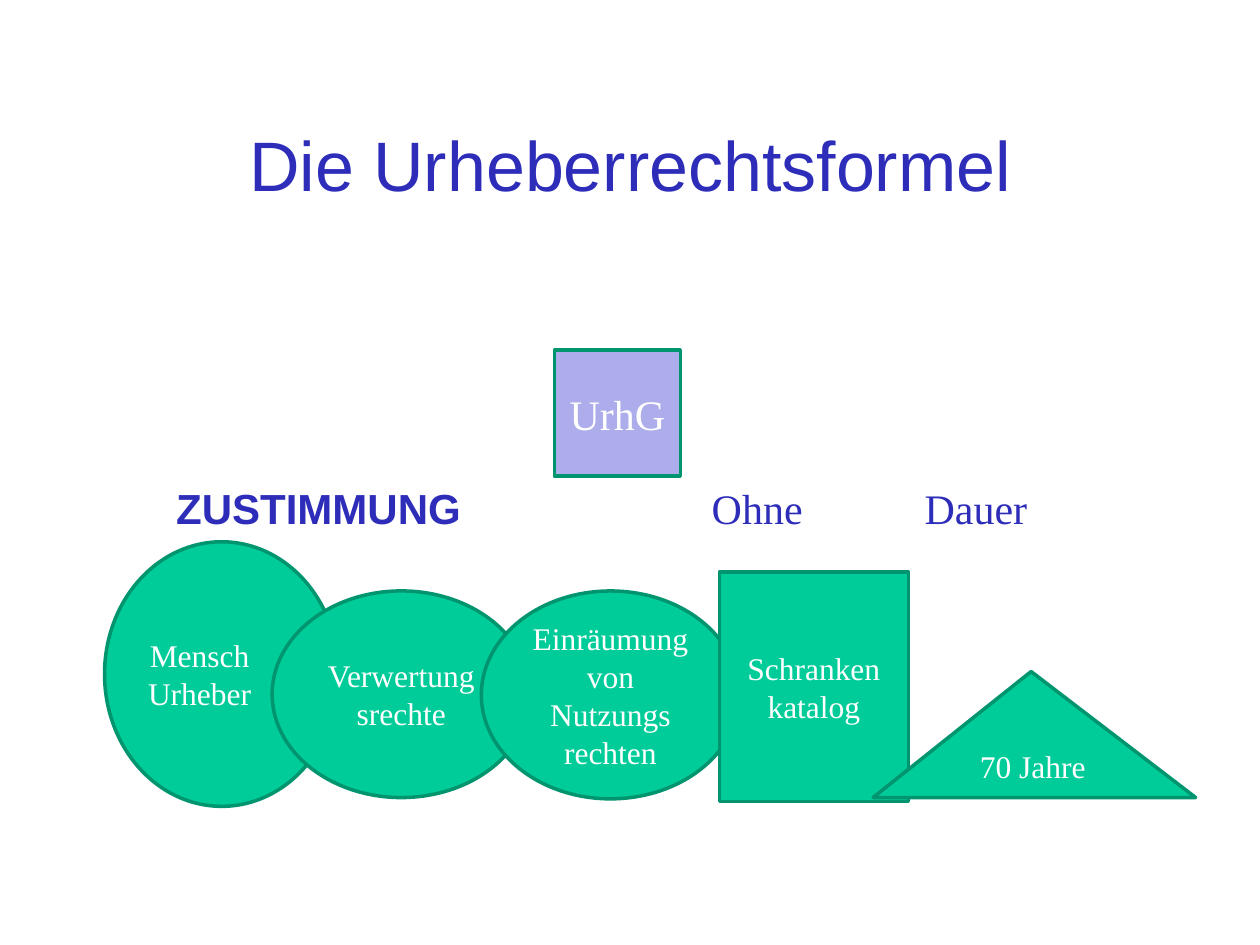
import pptx
import pptx.dml.color
import pptx.enum.shapes
import pptx.enum.text
import pptx.util
from pptx.util import Inches

COLORS = {
    "blue": "2D2DB9",
    "lilac": "ADADEB",
    "green": "00CC99",
    "outline": "00956F",
    "white": "FFFFFF",
}
SHAPES = pptx.enum.shapes.MSO_SHAPE
ALIGN = pptx.enum.text.PP_ALIGN
ANCHOR = pptx.enum.text.MSO_ANCHOR


def color(name):
    return pptx.dml.color.RGBColor.from_string(COLORS[name])


def write(shape, lines, size, color_name, align, anchor, font="Times New Roman", bold=False):
    """Put one paragraph per line into the shape."""
    frame = shape.text_frame
    frame.word_wrap = True
    frame.vertical_anchor = anchor
    frame.text = "\n".join(lines)
    for paragraph in frame.paragraphs:
        paragraph.alignment = align
        paragraph.font.name = font
        paragraph.font.size = pptx.util.Pt(size)
        paragraph.font.bold = bold
        paragraph.font.color.rgb = color(color_name)


def add_label(slide, box, text, size=24, align=ALIGN.LEFT, anchor=ANCHOR.TOP, **style):
    label = slide.shapes.add_textbox(*map(Inches, box))
    write(label, [text], size, "blue", align, anchor, **style)


def add_block(slide, kind, box, lines, size=18, fill="green"):
    """Add an outlined shape with centred white text."""
    block = slide.shapes.add_shape(kind, *map(Inches, box))
    block.shadow.inherit = False
    block.fill.solid()
    block.fill.fore_color.rgb = color(fill)
    block.line.color.rgb = color("outline")
    block.line.width = pptx.util.Pt(2)
    write(block, lines, size, "white", ALIGN.CENTER, ANCHOR.MIDDLE)
    return block


def main():
    presentation = pptx.Presentation()
    presentation.slide_width = Inches(10)
    presentation.slide_height = Inches(7.5)
    slide = presentation.slides.add_slide(presentation.slide_layouts[6])

    add_label(slide, (0.75, 0.67, 8.5, 1.25), "Die Urheberrechtsformel", size=40,
              align=ALIGN.CENTER, anchor=ANCHOR.MIDDLE, font="Arial")
    add_block(slide, SHAPES.RECTANGLE, (4.4, 2.78, 1, 1), ["UrhG"], size=24, fill="lilac")

    author = add_block(slide, SHAPES.OVAL, (0.83, 4.3, 1.86, 2.1), ["Mensch", "Urheber"])
    # Keeps the text clear of the overlapping oval
    author.text_frame.margin_left = Inches(0)
    author.text_frame.margin_right = Inches(0.35)
    add_block(slide, SHAPES.OVAL, (2.16, 4.69, 2.05, 1.64), ["Verwertungsrechte"])
    add_block(slide, SHAPES.OVAL, (3.82, 4.69, 2.05, 1.65),
              ["Einräumung von Nutzungs", "rechten"])
    add_block(slide, SHAPES.RECTANGLE, (5.71, 4.54, 1.5, 1.82), ["Schranken", "katalog"])
    duration = add_block(slide, SHAPES.ISOSCELES_TRIANGLE, (6.93, 5.33, 2.56, 1), ["70 Jahre"])
    duration.adjustments[0] = 0.49

    add_label(slide, (1.3, 3.78, 4.25, 0.5), "ZUSTIMMUNG", font="Arial", bold=True)
    add_label(slide, (5.55, 3.78, 1.65, 0.5), "Ohne")
    add_label(slide, (7.24, 3.78, 1.78, 0.5), "Dauer")

    presentation.save("out.pptx")


if __name__ == "__main__":
    main()
